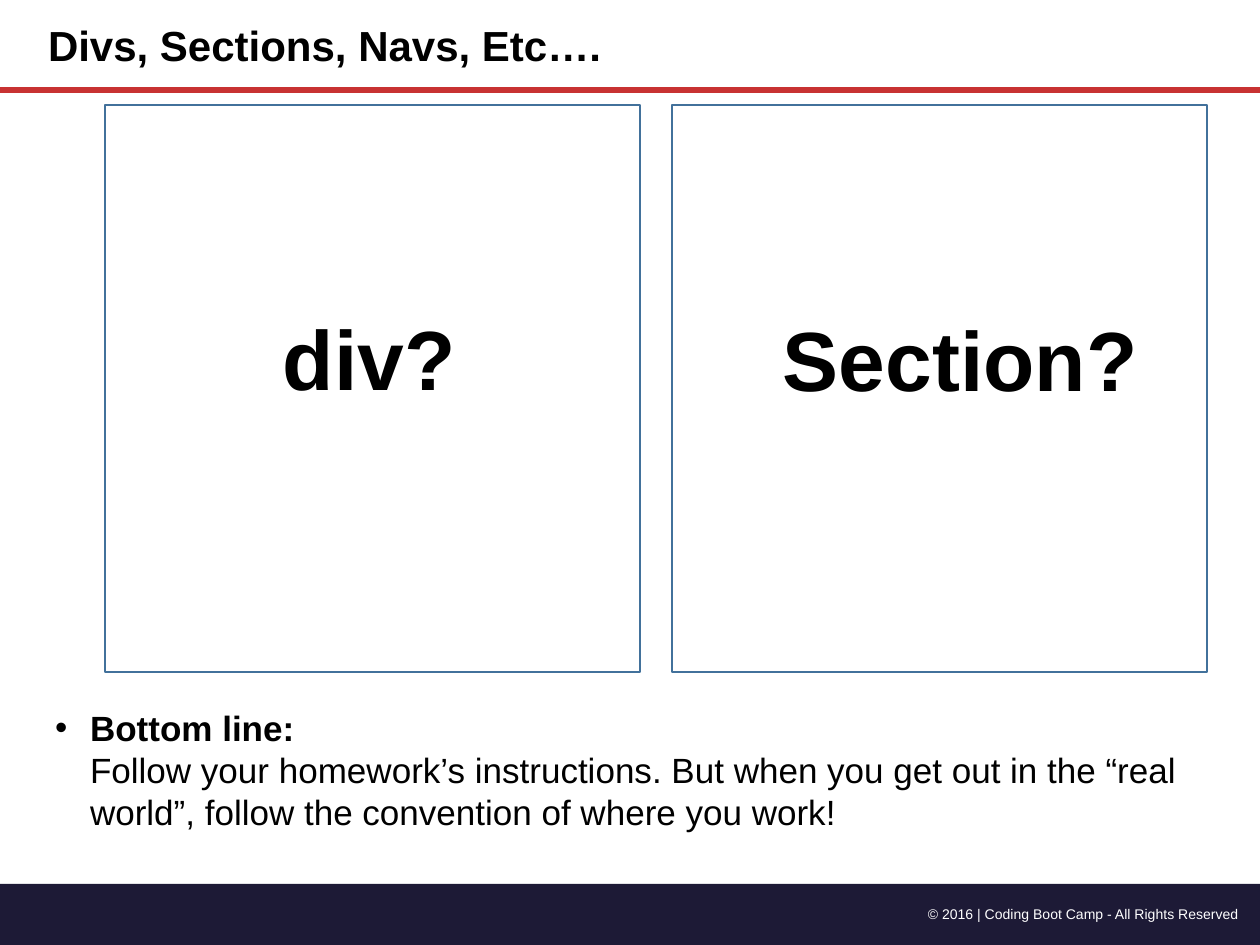
from lxml import etree
from pptx import Presentation
from pptx.dml.color import RGBColor
from pptx.enum.shapes import MSO_CONNECTOR, MSO_SHAPE
from pptx.enum.text import PP_ALIGN
from pptx.oxml.ns import qn
from pptx.util import Pt

RECTANGLE = MSO_SHAPE.RECTANGLE
STRAIGHT = MSO_CONNECTOR.STRAIGHT
LEFT, RIGHT = PP_ALIGN.LEFT, PP_ALIGN.RIGHT

BLACK = RGBColor(0x00, 0x00, 0x00)
WHITE = RGBColor(0xFF, 0xFF, 0xFF)
NAVY = RGBColor(0x1D, 0x1A, 0x36)
RED = RGBColor(0xC8, 0x32, 0x32)
BLUE = RGBColor(0x42, 0x71, 0x9B)

EMU_PER_PX = 914400 / 126
WIDTH, HEIGHT = 1260, 945
LINE_HEIGHT = 1.2

TITLE = {"name": "Arial", "size": Pt(24), "bold": True}
QUESTION = {"name": "Arial", "size": Pt(48), "bold": True}
LEAD = {"name": "Arial", "size": Pt(20), "bold": True}
BODY = {"name": "Arial", "size": Pt(20), "bold": False}
COPYRIGHT = {"name": "Arial", "size": Pt(8), "bold": False}


def px(length):
    return round(length * EMU_PER_PX)


def add_run(paragraph, text, style, color=BLACK):
    run = paragraph.add_run()
    run.text = text
    for attribute, value in style.items():
        setattr(run.font, attribute, value)
    run.font.color.rgb = color


def add_paragraph_box(slide, box, size, inset=6, align=LEFT, wrap=True):
    """Add a text box and return its first paragraph, ready for runs."""
    frame = slide.shapes.add_textbox(*map(px, box)).text_frame
    frame.word_wrap = wrap
    for side in ("left", "top", "right", "bottom"):
        setattr(frame, f"margin_{side}", px(inset))
    paragraph = frame.paragraphs[0]
    paragraph.alignment = align
    paragraph.line_spacing = Pt(size.pt * LINE_HEIGHT)
    return paragraph


def add_rectangle(slide, box, fill=None, line=None):
    shape = slide.shapes.add_shape(RECTANGLE, *map(px, box))
    shape.shadow.inherit = False
    if fill is None:
        shape.fill.background()
    else:
        shape.fill.solid()
        shape.fill.fore_color.rgb = fill
    if line is None:
        shape.line.fill.background()
    else:
        shape.line.color.rgb = line
        shape.line.width = Pt(1)


def add_bullet(paragraph, indent):
    properties = paragraph._p.get_or_add_pPr()
    properties.set("marL", str(px(indent)))
    properties.set("indent", str(-px(indent)))
    etree.SubElement(properties, qn("a:buFont")).set("typeface", "Arial")
    etree.SubElement(properties, qn("a:buChar")).set("char", "•")


def add_header(slide, left, top, width, height):
    paragraph = add_paragraph_box(slide, (left + 42, top + 14, 788, 60), TITLE["size"])
    add_run(paragraph, "Divs, Sections, Navs, Etc….", TITLE)
    bottom = px(top + height)
    rule = slide.shapes.add_connector(STRAIGHT, px(left), bottom, px(left + width), bottom)
    rule.line.color.rgb = RED
    rule.line.width = Pt(3.25)
    etree.SubElement(rule._element.spPr, qn("a:effectLst"))


def add_question_panel(slide, box, question, text_box):
    """Draw a framed panel; text_box is relative to the panel's corner."""
    left, top = box[:2]
    x, y, width, height = text_box
    add_rectangle(slide, box, line=BLUE)
    paragraph = add_paragraph_box(slide, (left + x, top + y, width, height),
                                  QUESTION["size"], wrap=False)
    add_run(paragraph, question, QUESTION)


def add_bottom_line(slide, box):
    paragraph = add_paragraph_box(slide, box, BODY["size"], inset=13)
    add_bullet(paragraph, 35)
    add_run(paragraph, "Bottom line:", LEAD)
    paragraph.add_line_break()
    add_run(paragraph, "Follow your homework’s instructions. But when you get out in the "
                       "“real world”, follow the convention of where you work!", BODY)


def add_footer(slide, left, top, width, height):
    add_rectangle(slide, (left, top, width, height), fill=NAVY)
    paragraph = add_paragraph_box(slide, (left + width - 400, top + 16, 385, 28),
                                  COPYRIGHT["size"], align=RIGHT)
    add_run(paragraph, "© 2016 | Coding Boot Camp - All Rights Reserved", COPYRIGHT, WHITE)


def main():
    presentation = Presentation()
    presentation.slide_width = px(WIDTH)
    presentation.slide_height = px(HEIGHT)
    slide = presentation.slides.add_slide(presentation.slide_layouts[6])

    add_footer(slide, 0, 884, WIDTH, HEIGHT - 884)
    add_header(slide, 0, 0, WIDTH, 90)
    add_bottom_line(slide, (42, 693, 1203, 145))
    questions = [("div?", (172, 196, 186, 106)), ("Section?", (105, 197, 369, 106))]
    for column, (question, text_box) in enumerate(questions):
        panel = (105 + column * 567, 105, 535, 567)
        add_question_panel(slide, panel, question, text_box)

    presentation.save("out.pptx")


if __name__ == "__main__":
    main()
